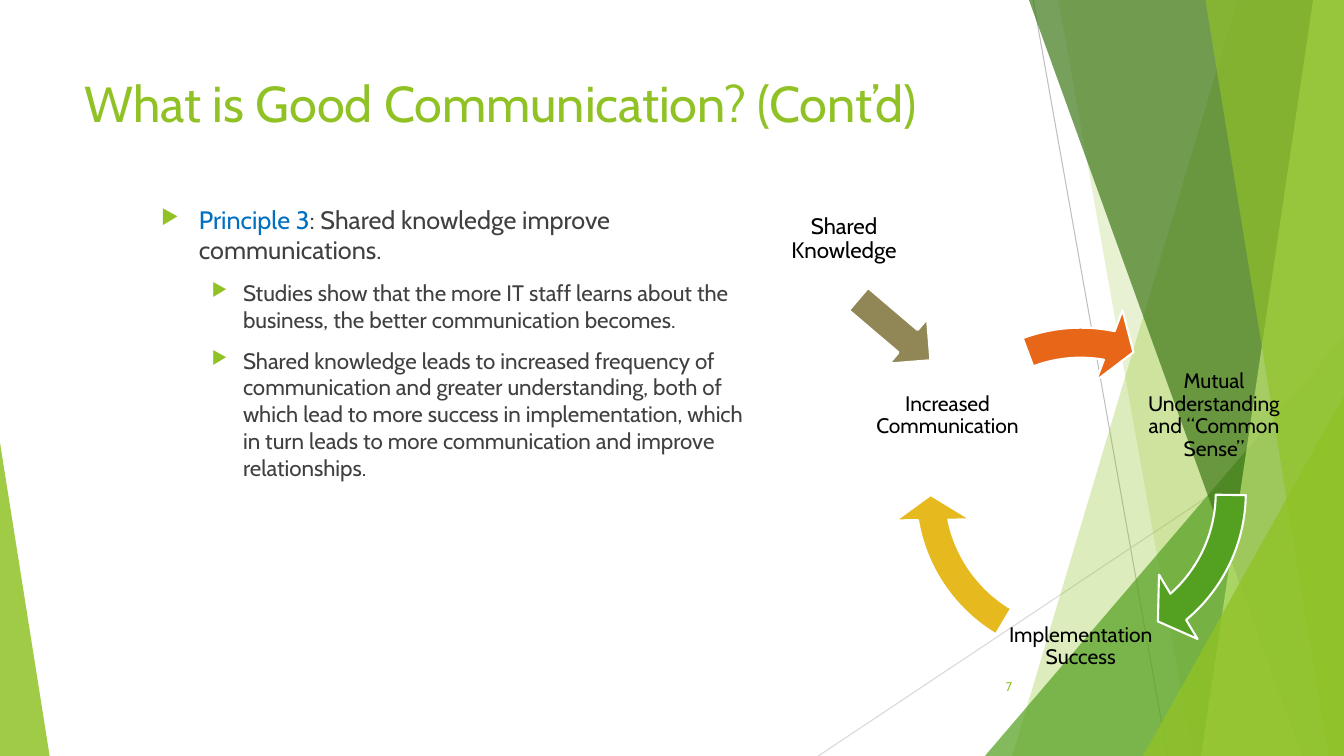
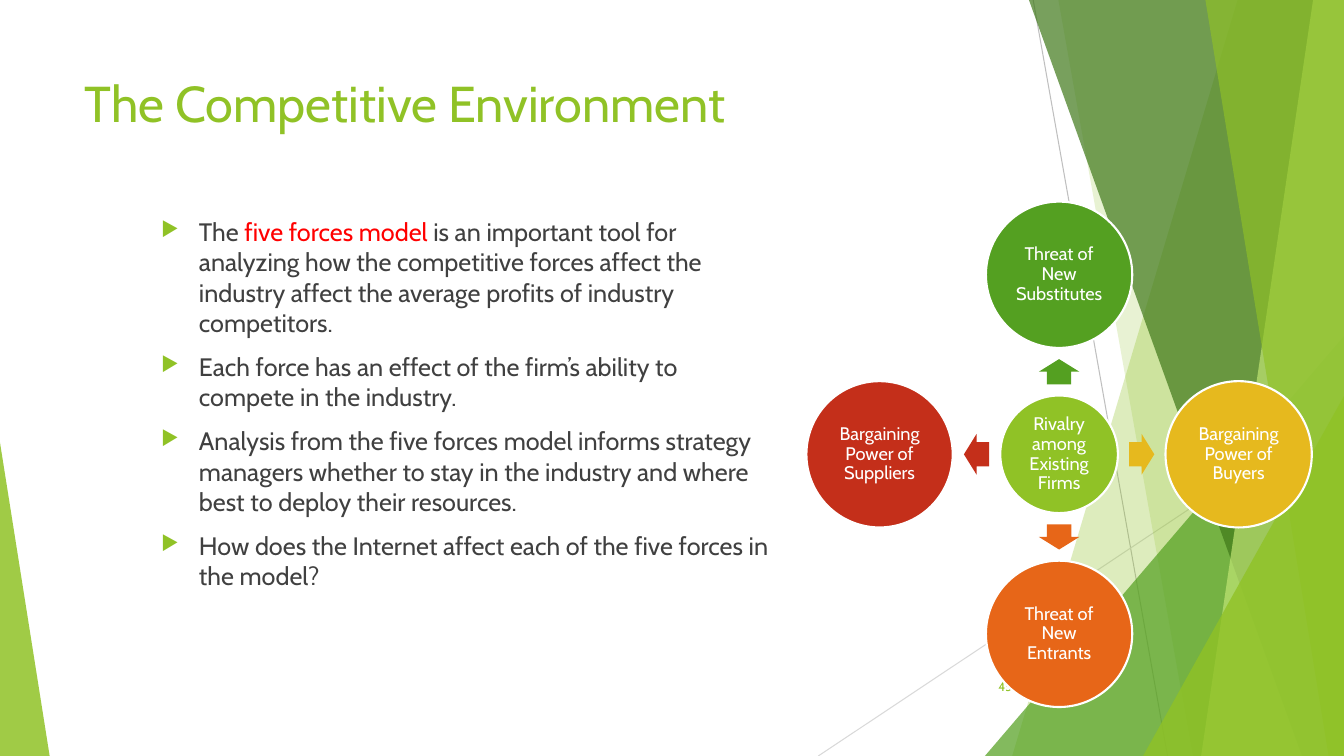
from math import cos, radians, sin

from lxml.etree import SubElement
from pptx import Presentation
from pptx.dml.color import RGBColor
from pptx.enum.shapes import MSO_CONNECTOR, MSO_SHAPE
from pptx.enum.text import MSO_ANCHOR, PP_ALIGN
from pptx.oxml.ns import qn
from pptx.util import Pt

FONT = "Cabin"
WIDTH, HEIGHT = 960, 540
LIME = RGBColor(0x90, 0xC2, 0x26)
PALE_LIME = RGBColor(0xC0, 0xE4, 0x74)
GREEN = RGBColor(0x54, 0xA0, 0x21)
DARK_GREEN = RGBColor(0x3F, 0x78, 0x19)
GOLD = RGBColor(0xE6, 0xB9, 0x1E)
ORANGE = RGBColor(0xE7, 0x66, 0x18)
BRICK = RGBColor(0xC4, 0x2F, 0x1A)
KHAKI = RGBColor(0x91, 0x86, 0x55)
BLUE = RGBColor(0x00, 0x70, 0xC0)
RED = RGBColor(0xFF, 0x00, 0x00)
CHARCOAL = RGBColor(0x40, 0x40, 0x40)
SILVER = RGBColor(0xBF, 0xBF, 0xBF)
MIST = RGBColor(0xD9, 0xD9, 0xD9)
BLACK = RGBColor(0, 0, 0)
WHITE = RGBColor(0xFF, 0xFF, 0xFF)


# Text
def write(paragraph, text, size=18, color=CHARCOAL, align=None, spacing=None):
    run = paragraph.add_run()
    run.text = text
    run.font.name = FONT
    run.font.size = Pt(size)
    run.font.color.rgb = color
    if align is not None:
        paragraph.alignment = align
    if spacing is not None:
        paragraph.line_spacing = spacing


def set_frame(shape, anchor=MSO_ANCHOR.TOP, inset=None):
    frame = shape.text_frame
    frame.word_wrap = True
    frame.vertical_anchor = anchor
    if inset is not None:
        frame.margin_left = frame.margin_right = Pt(inset)
        frame.margin_top = frame.margin_bottom = Pt(inset)
    return frame


def add_text_box(slide, left, top, width, height, **frame_format):
    box = slide.shapes.add_textbox(Pt(left), Pt(top), Pt(width), Pt(height))
    return set_frame(box, **frame_format)


def write_label(shape, text, size, color):
    frame = set_frame(shape, MSO_ANCHOR.MIDDLE, 1.5)
    write(frame.paragraphs[0], text, size=size, color=color,
          align=PP_ALIGN.CENTER, spacing=0.9)


def add_label(slide, center_x, center_y, side, text, size):
    box = slide.shapes.add_textbox(Pt(center_x - side / 2), Pt(center_y - side / 2),
                                   Pt(side), Pt(side))
    write_label(box, text, size, BLACK)


def add_bullet(paragraph, level):
    props = paragraph._p.get_or_add_pPr()
    margin, hanging = ((27, 27), (58.5, 22.5))[level]
    props.set("marL", str(Pt(margin)))
    props.set("indent", str(-Pt(hanging)))
    bullet_color = SubElement(props, qn("a:buClr"))
    SubElement(bullet_color, qn("a:srgbClr"), val=str(LIME))
    SubElement(props, qn("a:buSzPct"), val="80000")
    SubElement(props, qn("a:buChar"), char="▶")
    paragraph.level = level


# Shapes
def paint(shape, color, opacity=None, outline=None):
    shape.shadow.inherit = False
    shape.fill.solid()
    shape.fill.fore_color.rgb = color
    if opacity is not None:
        tint = shape._element.spPr.find(qn("a:solidFill"))[0]
        SubElement(tint, qn("a:alpha"), val=str(opacity * 1000))
    if outline is None:
        shape.line.fill.background()
    else:
        shape.line.color.rgb = WHITE
        shape.line.width = Pt(outline)
    return shape


def add_preset(slide, kind, left, top, width, height, color,
               adjust=(), rotation=0, **look):
    shape = slide.shapes.add_shape(kind, Pt(left), Pt(top), Pt(width), Pt(height))
    for index, value in enumerate(adjust):
        shape.adjustments[index] = value
    shape.rotation = rotation
    return paint(shape, color, **look)


def add_centered(slide, kind, center_x, center_y, width, height, color, **look):
    return add_preset(slide, kind, center_x - width / 2, center_y - height / 2,
                      width, height, color, **look)


def add_hairline(slide, x1, y1, x2, y2, color):
    line = slide.shapes.add_connector(MSO_CONNECTOR.STRAIGHT,
                                      Pt(x1), Pt(y1), Pt(x2), Pt(y2))
    line.line.color.rgb = color
    line.line.width = Pt(0.75)
    SubElement(line._element.spPr, qn("a:effectLst"))


def add_band(slide, top_x, bottom_x, color, opacity):
    """Full-height facet whose slanted left edge runs from top_x to bottom_x."""
    outline = slide.shapes.build_freeform(Pt(top_x), 0)
    outline.add_line_segments([(Pt(WIDTH), 0), (Pt(WIDTH), Pt(HEIGHT)),
                               (Pt(bottom_x), Pt(HEIGHT))], close=True)
    paint(outline.convert_to_shape(), color, opacity)


def add_wedge(slide, left, right, top, apex, color, opacity):
    add_preset(slide, MSO_SHAPE.ISOSCELES_TRIANGLE, left, top, right - left,
               HEIGHT - top, color, adjust=[apex], opacity=opacity)


# Shared parts
def add_backdrop(slide):
    add_hairline(slide, 738, 0, 834, HEIGHT, SILVER)
    add_hairline(slide, WIDTH, 290, 584.5, HEIGHT, MIST)
    add_band(slide, 884, 723, LIME, 30)
    add_band(slide, 756, 852, LIME, 20)
    add_wedge(slide, 703.5, WIDTH, 240, 1, GREEN, 72)
    add_band(slide, 735, 930, DARK_GREEN, 70)
    add_band(slide, 938, 858, PALE_LIME, 70)
    add_band(slide, 861, 949, LIME, 65)
    add_wedge(slide, 816.5, WIDTH, 283, 1, LIME, 80)
    add_wedge(slide, 0, 35.5, 316, 0, LIME, 85)


def add_body(slide, left, top, width, height, points):
    """Each point is (level, [(text, color), ...])."""
    frame = add_text_box(slide, left, top, width, height)
    for index, (level, runs) in enumerate(points):
        paragraph = frame.add_paragraph() if index else frame.paragraphs[0]
        add_bullet(paragraph, level)
        if index:
            paragraph.space_before = Pt(10)
        for text, color in runs:
            write(paragraph, text, size=(18, 16)[level], color=color)


def start_slide(deck, title, number):
    slide = deck.slides.add_slide(deck.slide_layouts[6])
    add_backdrop(slide)
    heading = add_text_box(slide, 53.3, 48, 677, 104)
    write(heading.paragraphs[0], title, size=36, color=LIME)
    page = add_text_box(slide, 676, 476, 54, 29, anchor=MSO_ANCHOR.MIDDLE)
    write(page.paragraphs[0], number, size=9, color=LIME, align=PP_ALIGN.RIGHT)
    return slide


# Diagrams
def add_communication_cycle(slide, left, top, size):
    center_x, center_y = left + size / 2, top + size / 2
    label_radius = 0.41 * size
    # label, its angle, arrow colour, arrow start and end in degrees
    stages = [
        ("Mutual Understanding and “Common Sense”", -30, GREEN, 0.83, 49.45),
        ("Implementation Success", 90, GOLD, 120.96, 169.58),
        ("Increased Communication", 210, ORANGE, 249.42, 280.99),
    ]
    for text, angle, color, start, end in stages:
        add_label(slide, center_x + label_radius * cos(radians(angle)),
                  center_y + label_radius * sin(radians(angle)), 113, text, 15)
        add_preset(slide, MSO_SHAPE.CIRCULAR_ARROW, left, top, size, size, color,
                   adjust=[0.08, 5.75, end * 0.6, start * 0.6, 0.1], outline=1.5)


def add_cycle_entry(slide, left, top):
    add_preset(slide, MSO_SHAPE.DOWN_ARROW, left + 71, top + 87, 43, 68, KHAKI,
               rotation=310.4, outline=2)
    add_label(slide, left + 56.5, top + 56.5, 113, "Shared Knowledge", 16)


def add_five_forces(slide, left, top, size):
    center_x, center_y = left + size / 2, top + size / 2
    force_size, core_size, arrow_radius = 104.5, 84, 59
    force_radius = (size - force_size) / 2
    core = add_centered(slide, MSO_SHAPE.OVAL, center_x, center_y,
                        core_size, core_size, LIME, outline=1.5)
    write_label(core, "Rivalry among Existing Firms", 13, WHITE)
    forces = [
        ("Threat of New Substitutes", GREEN, 270),
        ("Bargaining Power of Buyers", GOLD, 0),
        ("Threat of New Entrants", ORANGE, 90),
        ("Bargaining Power of Suppliers", BRICK, 180),
    ]
    for text, color, angle in forces:
        dx, dy = cos(radians(angle)), sin(radians(angle))
        add_centered(slide, MSO_SHAPE.RIGHT_ARROW, center_x + arrow_radius * dx,
                     center_y + arrow_radius * dy, 18, 29, color,
                     adjust=[0.6, 0.5], rotation=angle)
        force = add_centered(slide, MSO_SHAPE.OVAL, center_x + force_radius * dx,
                             center_y + force_radius * dy, force_size, force_size,
                             color, outline=1.5)
        write_label(force, text, 13, WHITE)


# Slides
def build_communication_slide(deck):
    slide = start_slide(deck, "What is Good Communication? (Cont’d)", "7")
    add_body(slide, 108, 142.5, 435.5, 355, [
        (0, [("Principle 3", BLUE),
             (": Shared knowledge improve communications.", CHARCOAL)]),
        (1, [("Studies show that the more IT staff learns about the business, "
              "the better communication becomes.", CHARCOAL)]),
        (1, [("Shared knowledge leads to increased frequency of communication "
              "and greater understanding, both of which lead to more success in "
              "implementation, which in turn leads to more communication and "
              "improve relationships.", CHARCOAL)]),
    ])
    add_communication_cycle(slide, 638, 218, 268)
    add_cycle_entry(slide, 546.5, 114.5)


def build_competition_slide(deck):
    slide = start_slide(deck, "The Competitive Environment", "45")
    add_body(slide, 108, 151, 455, 346, [
        (0, [("The ", CHARCOAL), ("five forces model ", RED),
             ("is an important tool for analyzing how the competitive forces "
              "affect the industry affect the average profits of industry "
              "competitors.", CHARCOAL)]),
        (0, [("Each force has an effect of the firm’s ability to compete in "
              "the industry.", CHARCOAL)]),
        (0, [("Analysis from the five forces model informs strategy managers "
              "whether to stay in the industry and where best to deploy their "
              "resources.", CHARCOAL)]),
        (0, [("How does the Internet affect each of the five forces in the "
              "model?", CHARCOAL)]),
    ])
    add_five_forces(slide, 576, 144, 361)


def main():
    deck = Presentation()
    deck.slide_width, deck.slide_height = Pt(WIDTH), Pt(HEIGHT)
    build_communication_slide(deck)
    build_competition_slide(deck)
    deck.save("out.pptx")


if __name__ == "__main__":
    main()
